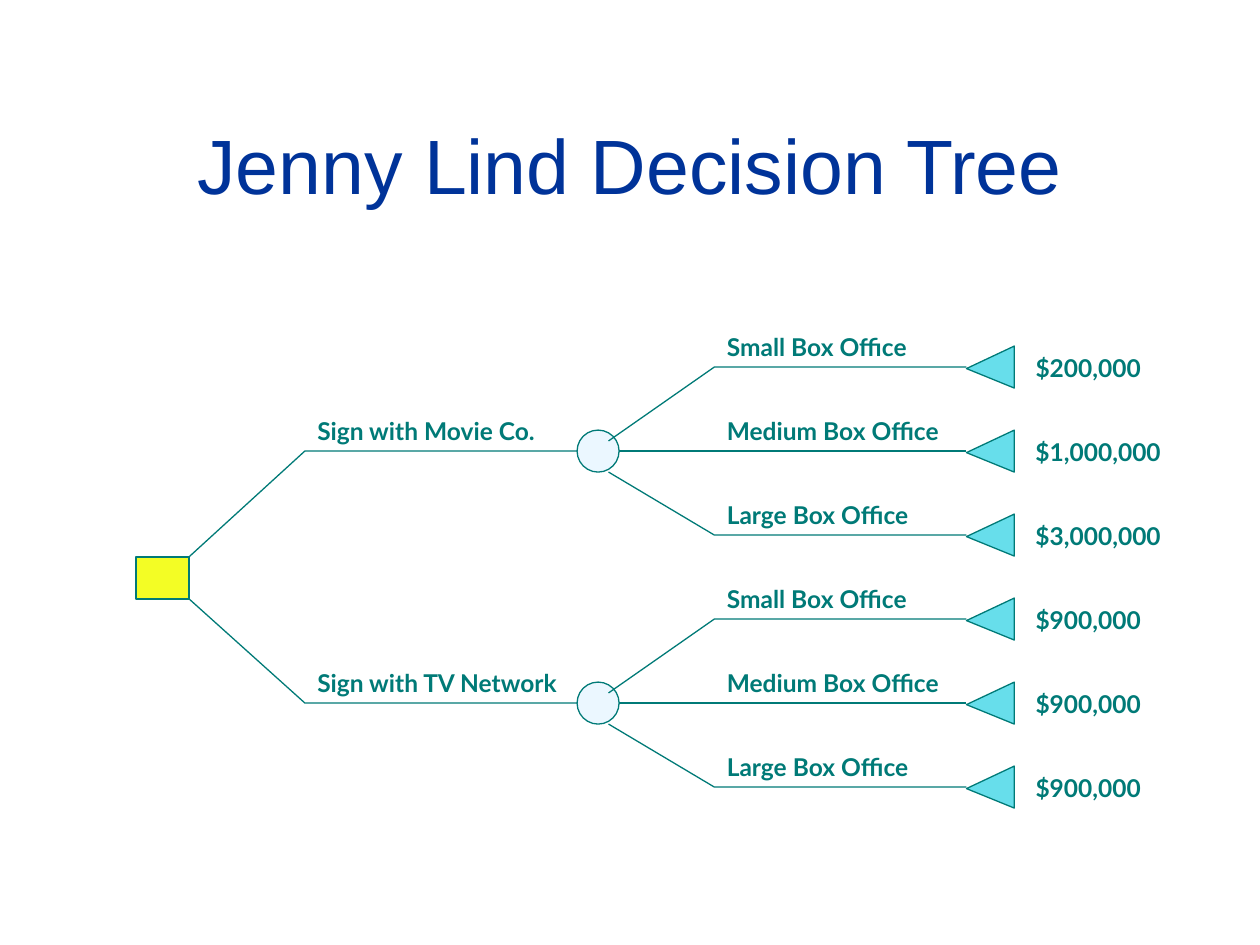
from dataclasses import dataclass

from lxml.etree import SubElement
from pptx import Presentation
from pptx.dml.color import RGBColor
from pptx.enum.shapes import MSO_CONNECTOR, MSO_SHAPE
from pptx.enum.text import MSO_ANCHOR, MSO_AUTO_SIZE, PP_ALIGN
from pptx.oxml.ns import qn
from pptx.util import Inches, Pt


@dataclass(frozen=True)
class Theme:
    title_color: RGBColor = RGBColor(0x00, 0x33, 0x99)
    ink: RGBColor = RGBColor(0x00, 0x7A, 0x77)
    decision_fill: RGBColor = RGBColor(0xF3, 0xFD, 0x25)
    chance_fill: RGBColor = RGBColor(0xEB, 0xF7, 0xFF)
    payoff_fill: RGBColor = RGBColor(0x67, 0xDE, 0xEB)
    title_font: str = "Arial"
    label_font: str = "Lato"
    title_size: Pt = Pt(44)
    label_size: Pt = Pt(14)
    line_width: Pt = Pt(0.75)


@dataclass(frozen=True)
class Label:
    text: str
    width: float


@dataclass(frozen=True)
class Choice:
    label: Label
    center: float
    root_corner: float
    payoffs: tuple[Label, ...]


THEME = Theme()
ROW_STEP = 2 / 3
NODE_SIZE = 1 / 3
ROOT_LEFT, ROOT_TOP, ROOT_WIDTH = 1.08, 4.42, 0.42
CHANCE_LEFT = 4.58
CHANCE_MIDDLE = 4.83
CHOICE_BEND, OUTCOME_BEND = 2.42, 5.67
PAYOFF_LEFT, PAYOFF_WIDTH = 7.67, 0.38
PAYOFF_LABEL_LEFT = 8.12
LABEL_HEIGHT = 0.34

OUTCOMES = (
    Label("Small Box Office", 1.78),
    Label("Medium Box Office", 2.05),
    Label("Large Box Office", 1.8),
)
CHOICES = (
    Choice(Label("Sign with Movie Co.", 2.1), 3.58, ROOT_TOP,
           (Label("$200,000", 1.05), Label("$1,000,000", 1.2), Label("$3,000,000", 1.2))),
    Choice(Label("Sign with TV Network", 2.3), 5.58, ROOT_TOP + NODE_SIZE,
           (Label("$900,000", 1.05),) * 3),
)


def style_line(shape) -> None:
    shape.line.color.rgb = THEME.ink
    shape.line.width = THEME.line_width


def add_node(slide, kind: MSO_SHAPE, left: float, top: float, width: float,
             height: float, fill: RGBColor):
    shape = slide.shapes.add_shape(kind, Inches(left), Inches(top), Inches(width), Inches(height))
    shape.shadow.inherit = False
    shape.fill.solid()
    shape.fill.fore_color.rgb = fill
    style_line(shape)
    return shape


def add_payoff(slide, center: float) -> None:
    middle = PAYOFF_LEFT + PAYOFF_WIDTH / 2
    triangle = add_node(slide, MSO_SHAPE.ISOSCELES_TRIANGLE, middle - NODE_SIZE / 2,
                        center - PAYOFF_WIDTH / 2, NODE_SIZE, PAYOFF_WIDTH, THEME.payoff_fill)
    triangle.rotation = 270
    triangle.adjustments[0] = 0.464


def add_branch(slide, points: list[tuple[float, float]]) -> None:
    start, *rest = [(Inches(x), Inches(y)) for x, y in points]
    builder = slide.shapes.build_freeform(*start)
    builder.add_line_segments(rest, close=False)
    branch = builder.convert_to_shape()
    branch.shadow.inherit = False
    branch.fill.background()
    style_line(branch)


def add_straight_branch(slide, center: float) -> None:
    connector = slide.shapes.add_connector(
        MSO_CONNECTOR.STRAIGHT, Inches(PAYOFF_LEFT), Inches(center),
        Inches(CHANCE_LEFT + NODE_SIZE), Inches(center))
    style_line(connector)
    SubElement(connector.element.spPr, qn("a:effectLst"))


def add_label(slide, label: Label, left: float, top: float) -> None:
    box = slide.shapes.add_textbox(Inches(left), Inches(top), Inches(label.width),
                                   Inches(LABEL_HEIGHT))
    text_frame = box.text_frame
    text_frame.word_wrap = False
    text_frame.auto_size = MSO_AUTO_SIZE.SHAPE_TO_FIT_TEXT
    text_frame.text = label.text
    font = text_frame.paragraphs[0].runs[0].font
    font.name, font.size, font.bold = THEME.label_font, THEME.label_size, True
    font.color.rgb = THEME.ink


def add_title(slide, text: str) -> None:
    box = slide.shapes.add_textbox(Inches(0.33), Inches(0.67), Inches(9.34), Inches(1.25))
    text_frame = box.text_frame
    text_frame.word_wrap = True
    text_frame.vertical_anchor = MSO_ANCHOR.MIDDLE
    text_frame.text = text
    paragraph = text_frame.paragraphs[0]
    paragraph.alignment = PP_ALIGN.CENTER
    font = paragraph.runs[0].font
    font.name, font.size = THEME.title_font, THEME.title_size
    font.color.rgb = THEME.title_color


def add_choice(slide, choice: Choice) -> None:
    center = choice.center
    add_branch(slide, [(ROOT_LEFT + ROOT_WIDTH, choice.root_corner), (CHOICE_BEND, center),
                       (CHANCE_LEFT, center)])
    add_label(slide, choice.label, CHOICE_BEND, center - 0.33)
    add_node(slide, MSO_SHAPE.OVAL, CHANCE_LEFT, center - NODE_SIZE / 2, NODE_SIZE, NODE_SIZE,
             THEME.chance_fill)

    top, middle, bottom = (center + step * ROW_STEP for step in (-1, 0, 1))
    add_branch(slide, [(CHANCE_MIDDLE, center - 0.08), (OUTCOME_BEND, top), (PAYOFF_LEFT, top)])
    add_straight_branch(slide, middle)
    add_branch(slide, [(CHANCE_MIDDLE, center + NODE_SIZE / 2), (OUTCOME_BEND, bottom),
                       (PAYOFF_LEFT, bottom)])

    for row, outcome, payoff in zip((top, middle, bottom), OUTCOMES, choice.payoffs):
        add_label(slide, outcome, OUTCOME_BEND, row - 0.33)
        add_payoff(slide, row)
        add_label(slide, payoff, PAYOFF_LABEL_LEFT, row - 0.16)


def main() -> None:
    presentation = Presentation()
    presentation.slide_width, presentation.slide_height = Inches(10), Inches(7.5)
    slide = presentation.slides.add_slide(presentation.slide_layouts[6])
    add_title(slide, "Jenny Lind Decision Tree")
    add_node(slide, MSO_SHAPE.RECTANGLE, ROOT_LEFT, ROOT_TOP, ROOT_WIDTH, NODE_SIZE,
             THEME.decision_fill)
    for choice in CHOICES:
        add_choice(slide, choice)
    presentation.save("out.pptx")


if __name__ == "__main__":
    main()
